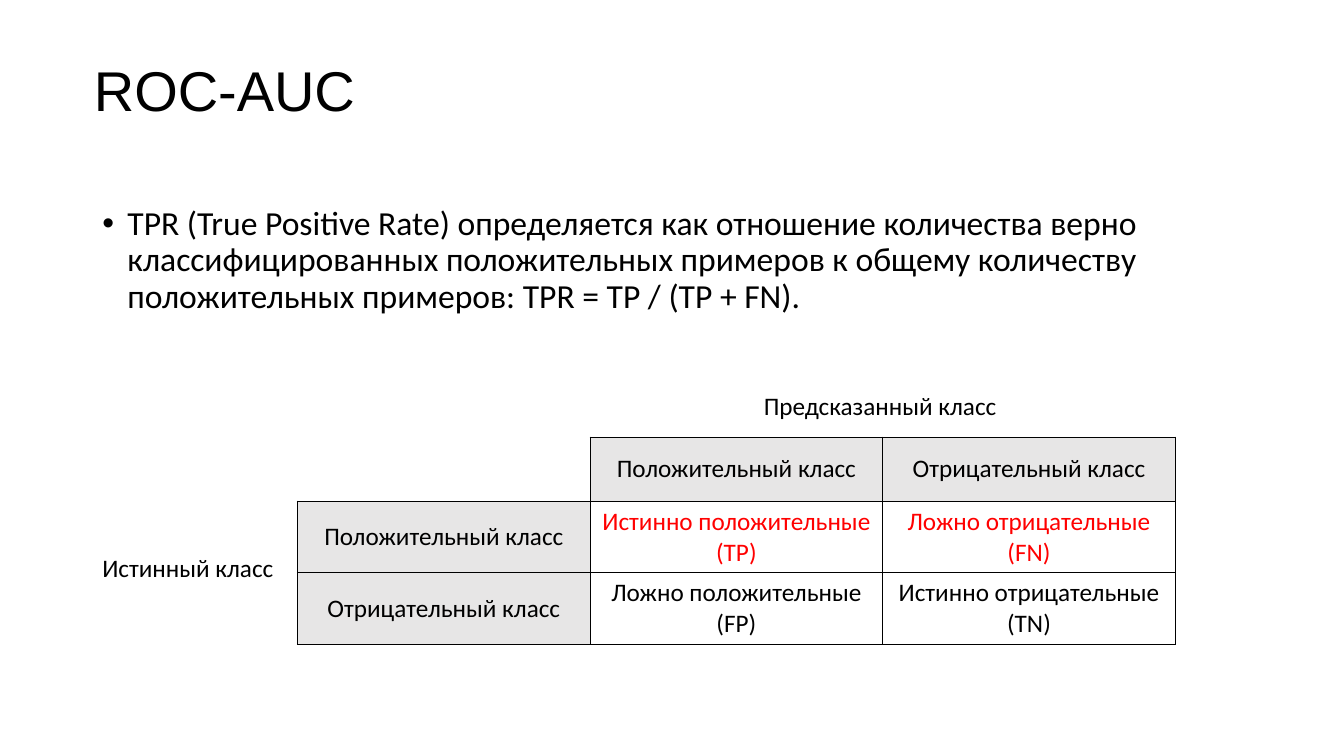
"""Builds the ROC-AUC slide with the confusion matrix behind the TPR formula."""
from dataclasses import dataclass

from lxml import etree
from pptx import Presentation
from pptx.dml.color import RGBColor
from pptx.enum.shapes import MSO_SHAPE
from pptx.enum.text import MSO_ANCHOR, PP_ALIGN
from pptx.oxml.ns import qn
from pptx.util import Pt


@dataclass(frozen=True)
class Theme:
    title_font: str = "Arial"
    body_font: str = "Calibri"
    title_size: int = 40
    body_size: int = 24
    label_size: int = 18
    ink: str = "000000"
    highlight: str = "FF0000"
    header: str = "E7E6E6"
    paper: str = "FFFFFF"


THEME = Theme()
POSITIVE, NEGATIVE = "Положительный класс", "Отрицательный класс"
MATRIX = [
    ["", POSITIVE, NEGATIVE],
    [POSITIVE, "Истинно положительные (TP)", "Ложно отрицательные (FN)"],
    [NEGATIVE, "Ложно положительные (FP)", "Истинно отрицательные (TN)"],
]
HIGHLIGHT_ROW = 1
COLUMN_WIDTH = 209
ROW_HEIGHTS = [45.7, 51.2, 51.2]
TPR_TEXT = (
    "TPR (True Positive Rate) определяется как отношение количества верно "
    "классифицированных положительных примеров к общему количеству "
    "положительных примеров: TPR = TP / (TP + FN)."
)


def write(frame, text, size, font=THEME.body_font, color=THEME.ink):
    paragraph = frame.paragraphs[0]
    run = paragraph.add_run()
    run.text = text
    run.font.name = font
    run.font.size = Pt(size)
    run.font.color.rgb = RGBColor.from_string(color)
    return paragraph


def add_text_box(slide, box, wrap=True, anchor=MSO_ANCHOR.TOP):
    frame = slide.shapes.add_textbox(*map(Pt, box)).text_frame
    frame.word_wrap = wrap
    frame.vertical_anchor = anchor
    return frame


def add_header_band(slide, box):
    band = slide.shapes.add_shape(MSO_SHAPE.RECTANGLE, *map(Pt, box))
    band.shadow.inherit = False
    band.fill.solid()
    band.fill.fore_color.rgb = RGBColor.from_string(THEME.paper)
    band.line.fill.background()


def add_title(slide, text, box):
    frame = add_text_box(slide, box, anchor=MSO_ANCHOR.MIDDLE)
    write(frame, text, THEME.title_size, THEME.title_font).line_spacing = 0.9


def add_bullet(slide, text, box):
    paragraph = write(add_text_box(slide, box), text, THEME.body_size)
    paragraph.line_spacing = 0.9
    paragraph.space_before = Pt(10)
    properties = paragraph._p.get_or_add_pPr()
    properties.set("marL", str(Pt(18)))
    properties.set("indent", str(-Pt(18)))
    etree.SubElement(properties, qn("a:buFont"), typeface="Arial")
    etree.SubElement(properties, qn("a:buChar"), char="•")


def add_label(slide, text, box):
    write(add_text_box(slide, box, wrap=False), text, THEME.label_size)


def set_borders(cell, visible_sides):
    properties = cell._tc.get_or_add_tcPr()
    for index, side in enumerate("LRTB"):
        line = etree.Element(qn(f"a:ln{side}"), w=str(Pt(1)))
        if side in visible_sides:
            fill = etree.SubElement(line, qn("a:solidFill"))
            etree.SubElement(fill, qn("a:srgbClr"), val=THEME.ink)
        else:
            etree.SubElement(line, qn("a:noFill"))
        properties.insert(index, line)


def fill_cell(cell, text, row, column):
    is_corner = row == column == 0
    is_header = row == 0 or column == 0
    if is_corner:
        cell.fill.background()
    else:
        cell.fill.solid()
        cell.fill.fore_color.rgb = RGBColor.from_string(THEME.header if is_header else THEME.paper)
        color = THEME.highlight if row == HIGHLIGHT_ROW and not is_header else THEME.ink
        paragraph = write(cell.text_frame, text, THEME.label_size, color=color)
        paragraph.alignment = PP_ALIGN.CENTER
    cell.vertical_anchor = MSO_ANCHOR.MIDDLE
    set_borders(cell, "RB" if is_corner else "LRTB")


def add_confusion_matrix(slide, left, top):
    size = len(MATRIX)
    table = slide.shapes.add_table(
        size, size, Pt(left), Pt(top), Pt(size * COLUMN_WIDTH), Pt(sum(ROW_HEIGHTS))
    ).table
    table.first_row = table.horz_banding = False
    for column in table.columns:
        column.width = Pt(COLUMN_WIDTH)
    for row, (texts, height) in enumerate(zip(MATRIX, ROW_HEIGHTS)):
        table.rows[row].height = Pt(height)
        for column, text in enumerate(texts):
            fill_cell(table.cell(row, column), text, row, column)


def main():
    presentation = Presentation()
    presentation.slide_width, presentation.slide_height = Pt(960), Pt(540)
    slide = presentation.slides.add_slide(presentation.slide_layouts[6])
    add_header_band(slide, (0, 0, 960, 137))
    add_title(slide, "ROC-AUC", (60, 19, 847, 96))
    add_bullet(slide, TPR_TEXT, (66, 144, 803, 343))
    add_confusion_matrix(slide, 212.5, 312.3)
    add_label(slide, "Истинный класс", (66, 391, 138, 29))
    add_label(slide, "Предсказанный класс", (538.5, 275, 182, 29))
    presentation.save("out.pptx")


main()
